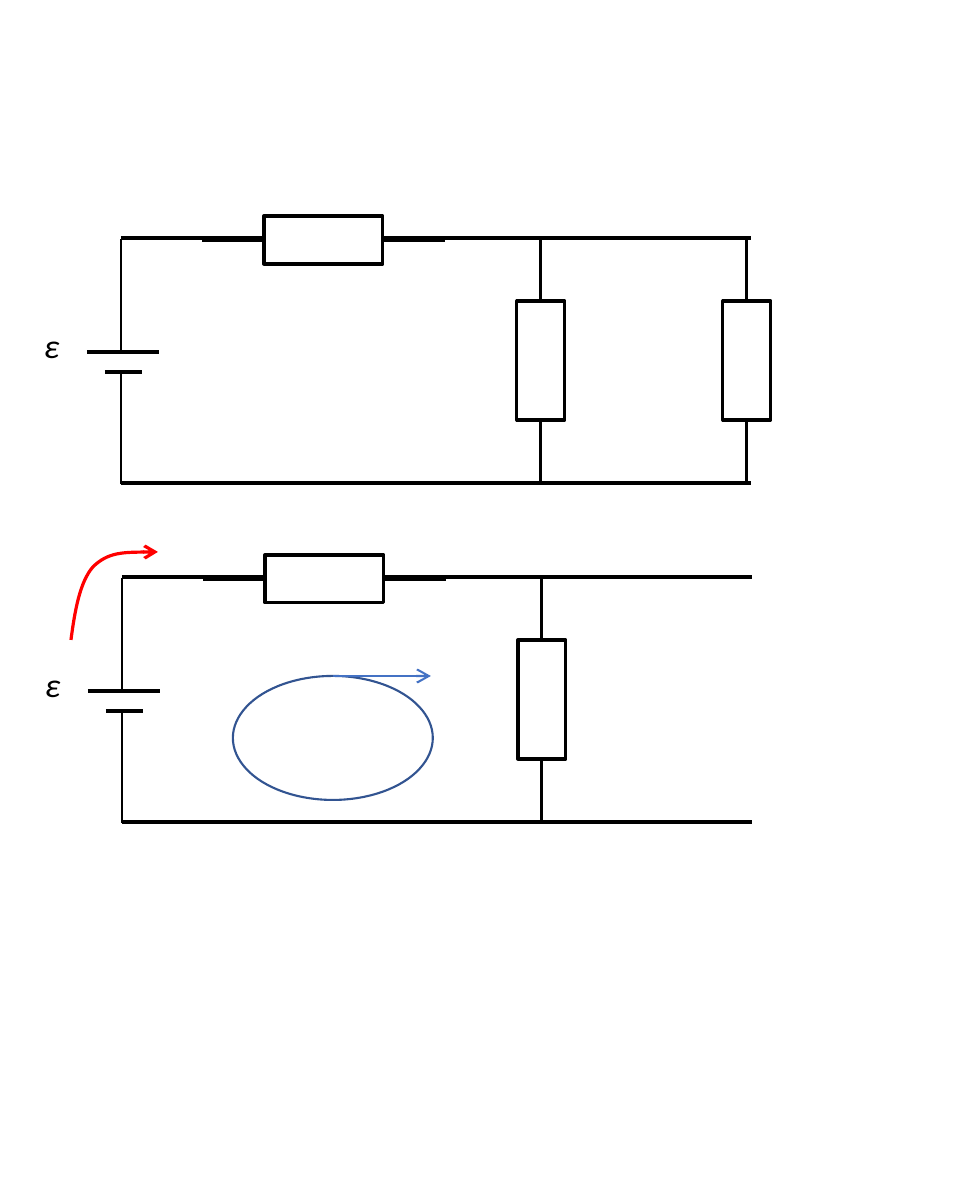
from lxml.etree import SubElement
from pptx import Presentation
from pptx.dml.color import RGBColor
from pptx.enum.shapes import MSO_CONNECTOR, MSO_SHAPE
from pptx.enum.text import MSO_AUTO_SIZE
from pptx.oxml.ns import qn
from pptx.util import Cm, Pt

PX = 5980  # EMU per px
COLORS = {"wire": "000000", "paper": "FFFFFF", "loop": "325491",
          "loop_arrow": "4472C4", "current": "FF0000"}
BODY_W, BODY_H, LEAD = 119, 48, 62


def emu(*lengths):
    return [n * PX for n in lengths]


def style_line(sp, color, width, arrow=False):
    sp.line.color.rgb = RGBColor.from_string(COLORS[color])
    sp.line.width = Pt(width)
    if arrow:
        SubElement(sp.line._get_or_add_ln(), qn("a:tailEnd"), type="arrow")


def add_line(shapes, x1, y1, x2, y2, width=1.5, color="wire", arrow=False):
    line = shapes.add_connector(MSO_CONNECTOR.STRAIGHT, *emu(x1, y1, x2, y2))
    style_line(line, color, width, arrow)
    SubElement(line._element.spPr, qn("a:effectLst"))
    return line


def add_outline(shapes, kind, x, y, w, h, color, width, filled=True):
    sp = shapes.add_shape(kind, *emu(x, y, w, h))
    sp.shadow.inherit = False
    if filled:
        sp.fill.solid()
        sp.fill.fore_color.rgb = RGBColor.from_string(COLORS["paper"])
    else:
        sp.fill.background()
    style_line(sp, color, width)
    return sp


def add_resistor(slide, x, y, vertical=False):
    """Resistor with a lead at each end; x, y is the body's top left corner."""
    shapes = slide.shapes.add_group_shape().shapes
    w, h = (BODY_H, BODY_W) if vertical else (BODY_W, BODY_H)
    body = add_outline(shapes, MSO_SHAPE.RECTANGLE, x, y, w, h, "wire", 1.5,
                       filled=not vertical)
    if vertical:
        mid = x + w // 2
        ends = [(0, mid, y, mid, y - LEAD),
                (2, mid, y + h, mid, y + h + LEAD)]
    else:
        mid = y + h // 2
        ends = [(1, x, mid, x - LEAD, mid),
                (3, x + w, mid, x + w + LEAD, mid)]
    for site, *points in ends:
        add_line(shapes, *points).begin_connect(body, site)


def add_battery(slide, x, y, h):
    shapes = slide.shapes.add_group_shape().shapes
    long_y, short_y = y + 114, y + 134
    add_line(shapes, x, long_y, x, y + 1, 1)
    add_line(shapes, x - 34, long_y, x + 38, long_y, 2.25)
    add_line(shapes, x - 16, short_y, x + 21, short_y, 2.25)
    add_line(shapes, x, y + h + 1, x, short_y, 1)


def add_emf_label(slide, x, y):
    box = slide.shapes.add_textbox(*emu(x, y, 46, 56))
    tf = box.text_frame
    tf.word_wrap = False
    tf.auto_size = MSO_AUTO_SIZE.SHAPE_TO_FIT_TEXT
    tf.text = "ε"
    font = tf.paragraphs[0].runs[0].font
    font.name, font.size, font.italic = "Calibri", Pt(16), True
    font.color.rgb = RGBColor.from_string(COLORS["wire"])


def add_circuit(slide, x, y, w, h, branches):
    """Battery and series resistor, with parallel resistors at the branches."""
    for rail_y in (y, y + h):
        add_line(slide.shapes, x, rail_y, x + w, rail_y)
    add_battery(slide, x, y, h)
    add_resistor(slide, x + 143, y - 22)
    for branch in branches:
        add_resistor(slide, x + branch - BODY_H // 2,
                     y + (h - BODY_W) // 2, vertical=True)
    add_emf_label(slide, x - 92, y + 79)


def add_loop(slide, x, y, w, h):
    add_outline(slide.shapes, MSO_SHAPE.OVAL, x, y, w, h, "loop", 1)
    add_line(slide.shapes, x + w // 2, y, x + w - 2, y, 1, "loop_arrow", True)


def add_current_arrow(slide, x, y, w, h):
    """Curved arrow rising from the lower left to the upper right."""
    points = [(x + 4, y + 58), (x + 9, y + 30), (x + 22, y + 15),
              (x + 37, y), (x + 62, y), (x + w, y)]
    builder = slide.shapes.build_freeform(x, y + h, scale=PX)
    builder.add_line_segments(points, close=False)
    sp = builder.convert_to_shape()
    sp.shadow.inherit = False
    sp.fill.background()
    style_line(sp, "current", 1.5, arrow=True)
    path = next(sp._element.iter(qn("a:path")))
    segments = path.findall(qn("a:lnTo"))
    for i in range(0, len(segments), 3):
        curve = SubElement(path, qn("a:cubicBezTo"))
        for segment in segments[i:i + 3]:
            curve.append(segment[0])
            path.remove(segment)


def main():
    prs = Presentation()
    prs.slide_width, prs.slide_height = Cm(16), Cm(20)
    slide = prs.slides.add_slide(prs.slide_layouts[6])
    add_circuit(slide, 121, 238, 630, 245, branches=(420, 626))
    add_circuit(slide, 122, 577, 630, 245, branches=(420,))
    add_loop(slide, 233, 676, 200, 124)
    add_current_arrow(slide, 71, 552, 87, 88)
    prs.save("out.pptx")


if __name__ == "__main__":
    main()
